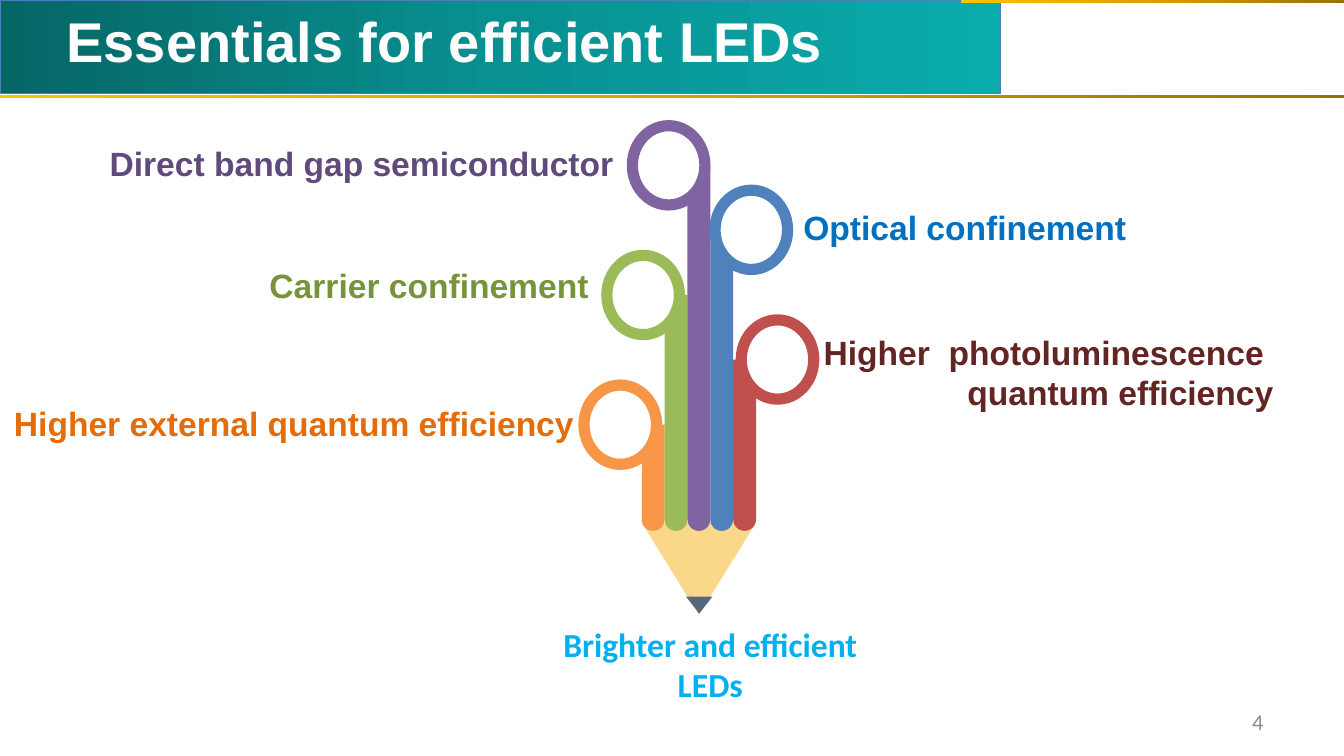
from copy import deepcopy

from lxml import etree
from pptx import Presentation
from pptx.dml.color import RGBColor
from pptx.enum.shapes import MSO_SHAPE
from pptx.enum.text import MSO_ANCHOR, MSO_AUTO_SIZE, PP_ALIGN
from pptx.oxml.ns import qn
from pptx.util import Inches, Pt

TEAL = ["066666", "099091", "0AABAD"]
GOLD = ["FFC000", "D7A200", "977200"]

PENCIL_LEFT = 9.55
BAR_PITCH = 0.34
BAR_BOTTOM = 7.9
RING_WIDTH, RING_HEIGHT = 1.08, 1.18

BARS = [
    ("F79646", 6.32, 8.69),
    ("9BBB59", 4.39, 9.03),
    ("8064A2", 2.46, 9.41),
    ("4F81BD", 3.42, 10.64),
    ("C0504D", 5.35, 11.03),
]

LABELS = [
    ("Direct band gap semiconductor", (1.24, 2.07, 7.99, 0.71), "604A7B"),
    ("Optical confinement", (10.9, 3.03, 5.96, 0.71), "0070C0"),
    ("Carrier confinement", (2.83, 3.9, 6.03, 0.71), "77933C"),
    ("Higher  photoluminescence  quantum efficiency", (10.99, 4.89, 8.06, 1.31), "632523"),
]


def color(value):
    return RGBColor.from_string(value)


def add_block(shapes, kind, box, fill, line=None, line_width=0.75, rotation=0):
    shape = shapes.add_shape(kind, *map(Inches, box))
    shape.shadow.inherit = False
    shape.rotation = rotation
    if isinstance(fill, list):
        fill_gradient(shape, fill)
    else:
        shape.fill.solid()
        shape.fill.fore_color.rgb = color(fill)
    if line:
        shape.line.color.rgb = color(line)
        shape.line.width = Pt(line_width)
    else:
        shape.line.fill.background()
    return shape


def fill_gradient(shape, colors):
    shape.fill.gradient()
    shape.fill.gradient_angle = 0
    stop_list = shape._element.spPr.find(qn("a:gradFill")).find(qn("a:gsLst"))
    stop_list.insert(1, deepcopy(stop_list[0]))
    for index, stop in enumerate(shape.fill.gradient_stops):
        stop.position = index / (len(colors) - 1)
        stop.color.rgb = color(colors[index])


def set_opacity(shape, percent):
    fill_color = shape._element.spPr.find(qn("a:solidFill"))[0]
    etree.SubElement(fill_color, qn("a:alpha"), val=str(percent * 1000))


def add_text(slide, text, box, text_color, align=PP_ALIGN.LEFT, size=36,
             name="Arial", bold=True, wrap=True, centered=False):
    text_box = slide.shapes.add_textbox(*map(Inches, box))
    frame = text_box.text_frame
    frame.word_wrap = wrap
    if centered:
        frame_format = {
            "vertical_anchor": MSO_ANCHOR.MIDDLE,
            "margin_left": Inches(0.2), "margin_right": Inches(0.2),
            "margin_top": Inches(0.1), "margin_bottom": Inches(0.1),
        }
    else:
        frame_format = {"auto_size": MSO_AUTO_SIZE.SHAPE_TO_FIT_TEXT}
    for key, value in frame_format.items():
        setattr(frame, key, value)
    paragraph = frame.paragraphs[0]
    paragraph.text = text
    paragraph.alignment = align
    font = paragraph.runs[0].font
    for key, value in {"size": Pt(size), "name": name, "bold": bold}.items():
        setattr(font, key, value)
    font.color.rgb = color(text_color)


def add_header(slide):
    shapes = slide.shapes.add_group_shape().shapes
    add_block(shapes, MSO_SHAPE.RECTANGLE, (0, 0, 14.88, 1.39), TEAL, "4B7EBC")
    for box in [(14.3, 0, 5.7, 0.05), (0, 1.41, 20, 0.05)]:
        add_block(shapes, MSO_SHAPE.RECTANGLE, box, GOLD)
    add_text(slide, "Essentials for efficient LEDs", (0.79, 0.2, 12.66, 0.79),
             "FFFFFF", size=60, centered=True)


def add_pencil(slide):
    shapes = slide.shapes.add_group_shape().shapes
    wood = add_block(shapes, MSO_SHAPE.TRAPEZOID, (PENCIL_LEFT, 7.78, 1.7, 1.37),
                     "F5B317", rotation=180)
    wood.adjustments[0] = 0.79
    set_opacity(wood, 50)
    add_block(shapes, MSO_SHAPE.ISOSCELES_TRIANGLE, (10.21, 8.88, 0.39, 0.25),
              "57687C", rotation=180)
    for index, (bar_color, top, ring_left) in enumerate(BARS):
        box = (PENCIL_LEFT + index * BAR_PITCH, top, BAR_PITCH, BAR_BOTTOM - top)
        bar = add_block(shapes, MSO_SHAPE.ROUND_2_SAME_RECTANGLE, box, bar_color, rotation=180)
        bar.adjustments[0] = 0.5
        bar.adjustments[1] = 0
        ring = (ring_left, top - RING_HEIGHT / 2, RING_WIDTH, RING_HEIGHT)
        add_block(shapes, MSO_SHAPE.OVAL, ring, "FFFFFF", bar_color, 12)


def add_labels(slide):
    for text, box, text_color in LABELS:
        add_text(slide, text, box, text_color, PP_ALIGN.RIGHT)
    add_text(slide, "Higher external quantum efficiency", (0.11, 5.94, 8.76, 0.71),
             "E46C0A", wrap=False)
    add_text(slide, "Brighter and efficient LEDs", (8.13, 9.23, 4.88, 1.31),
             "00B0F0", PP_ALIGN.CENTER, name="Calibri")


def main():
    presentation = Presentation()
    presentation.slide_width = Inches(20)
    presentation.slide_height = Inches(11.25)
    slide = presentation.slides.add_slide(presentation.slide_layouts[6])
    add_header(slide)
    add_pencil(slide)
    add_labels(slide)
    add_text(slide, "4", (14.33, 10.43, 4.67, 0.6), "8C8C8C", PP_ALIGN.RIGHT,
             size=24, name="Calibri", bold=False, centered=True)
    presentation.save("out.pptx")


if __name__ == "__main__":
    main()
